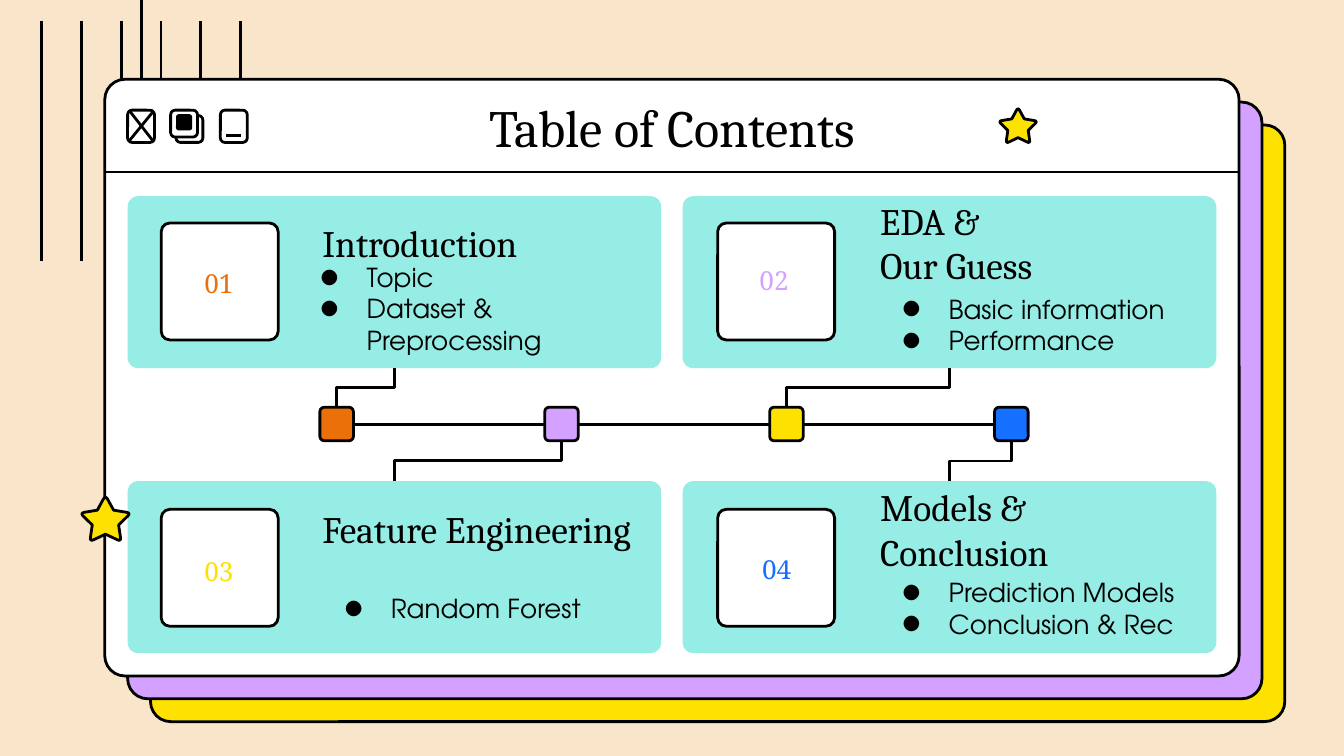
"""Build the table of contents slide with its stacked windows and timeline."""
from dataclasses import dataclass
from math import cos, pi, sin

from lxml.etree import SubElement
from pptx import Presentation
from pptx.dml.color import RGBColor
from pptx.enum.shapes import MSO_CONNECTOR as Link, MSO_SHAPE as Preset
from pptx.enum.text import MSO_ANCHOR as Anchor, PP_ALIGN as Align
from pptx.oxml.ns import qn
from pptx.util import Inches, Pt

BLACK = RGBColor(0x00, 0x00, 0x00)
WHITE = RGBColor(0xFF, 0xFF, 0xFF)
CREAM = RGBColor(0xF9, 0xE5, 0xC9)
YELLOW = RGBColor(0xFD, 0xE2, 0x00)
LILAC = RGBColor(0xD3, 0xA1, 0xFF)
AQUA = RGBColor(0x96, 0xED, 0xE5)
ORANGE = RGBColor(0xEC, 0x70, 0x0A)
BLUE = RGBColor(0x16, 0x70, 0xFF)
HEADING_FONT, NUMBER_FONT, TOPIC_FONT = "Cambria", "Noto Serif", "TeX Gyre Adventor"
STROKE = Pt(1.5)

Box = tuple[float, float, float, float]


@dataclass
class Section:
    number: str
    color: RGBColor
    column: int
    row: int
    heading: list[str]
    topics: list[str]
    number_box: Box
    heading_width: float
    topics_box: Box


@dataclass
class Milestone:
    color: RGBColor
    card_column: int
    upward: bool


SECTIONS = [
    Section("01", ORANGE, 0, 0, ["Introduction"], ["Topic", "Dataset & Preprocessing"],
            (1.38, 1.94, 0.5, 0.3), 2.41, (2.13, 2.04, 2.95, 0.51)),
    Section("02", LILAC, 1, 0, ["EDA &", "Our Guess"], ["Basic information", "Performance"],
            (5.48, 1.92, 0.56, 0.3), 2.21, (6.46, 2.16, 2.41, 0.51)),
    Section("03", YELLOW, 0, 1, ["Feature Engineering"], ["Random Forest"],
            (1.36, 4.08, 0.54, 0.37), 2.83, (2.31, 4.27, 2.62, 0.51)),
    Section("04", BLUE, 1, 1, ["Models & Conclusion"], ["Prediction Models", "Conclusion & Rec"],
            (5.48, 4.07, 0.6, 0.4), 2.41, (6.46, 4.27, 2.41, 0.51)),
]
MILESTONES = [Milestone(ORANGE, 0, True), Milestone(LILAC, 0, False),
              Milestone(YELLOW, 1, True), Milestone(BLUE, 1, False)]
CARD_LEFTS, CARD_TOPS = (0.95, 5.08), (1.46, 3.58)
TILE_LEFTS, TILE_TOPS = (1.2, 5.34), (1.66, 3.79)
HEADING_LEFTS, HEADING_TOPS = (2.3, 6.45), (1.64, 3.77)
CARD_WIDTH, CARD_HEIGHT = 3.97, 1.28
NODE_LEFT, NODE_RIGHTMOST, NODE_TOP, NODE_SIZE = 2.38, 7.4, 3.03, 0.25
NODE_STEP = (NODE_RIGHTMOST - NODE_LEFT) / (len(MILESTONES) - 1)

deck = Presentation()
deck.slide_width = Inches(10)
deck.slide_height = deck.slide_width * 9 // 16
slide = deck.slides.add_slide(deck.slide_layouts[6])
slide.background.fill.solid()
slide.background.fill.fore_color.rgb = CREAM


def paint(shape, fill: RGBColor, outlined: bool = True) -> None:
    shape.shadow.inherit = False
    shape.fill.solid()
    shape.fill.fore_color.rgb = fill
    if outlined:
        shape.line.color.rgb = BLACK
        shape.line.width = STROKE
    else:
        shape.line.fill.background()


def add_panel(box: Box, corner: float, fill: RGBColor, outlined: bool = True) -> None:
    panel = slide.shapes.add_shape(Preset.ROUNDED_RECTANGLE, *map(Inches, box))
    panel.adjustments[0] = corner
    paint(panel, fill, outlined)


def add_line(x1: float, y1: float, x2: float, y2: float, kind=Link.STRAIGHT):
    line = slide.shapes.add_connector(kind, *map(Inches, (x1, y1, x2, y2)))
    line.line.color.rgb = BLACK
    line.line.width = STROKE
    SubElement(line._element.spPr, qn("a:effectLst"))
    return line


def add_vertical_elbow(x1: float, y1: float, x2: float, y2: float) -> None:
    rise, run = abs(y2 - y1), abs(x2 - x1)
    left, top = (x1 + x2 - rise) / 2, (y1 + y2 - run) / 2
    elbow = add_line(left, top, left + rise, top + run, Link.ELBOW)
    turn = 270 if y2 < y1 else 90
    elbow._element.spPr.find(qn("a:xfrm")).set("rot", str(turn * 60000))


def add_bullet(paragraph, color: RGBColor, font: str) -> None:
    props = paragraph._p.get_or_add_pPr()
    props.set("marL", str(Inches(0.5)))
    props.set("indent", str(Inches(-0.35)))
    tint = SubElement(props, qn("a:buClr"))
    SubElement(tint, qn("a:srgbClr")).set("val", str(color))
    SubElement(props, qn("a:buFont")).set("typeface", font)
    SubElement(props, qn("a:buChar")).set("char", "●")


def add_text(box: Box, lines: list[str], font: str, size: float, color: RGBColor = BLACK,
             align=Align.LEFT, anchor=Anchor.MIDDLE, inset: float = 0.1,
             bulleted: bool = False) -> None:
    frame = slide.shapes.add_textbox(*map(Inches, box)).text_frame
    frame.word_wrap = True
    frame.vertical_anchor = anchor
    frame.margin_left = frame.margin_right = Inches(0.1)
    frame.margin_top = frame.margin_bottom = Inches(inset)
    frame.text = "\n".join(lines)
    for paragraph in frame.paragraphs:
        paragraph.alignment = align
        if bulleted:
            add_bullet(paragraph, color, font)
        paragraph.font.name = font
        paragraph.font.size = Pt(size)
        paragraph.font.color.rgb = color


def add_star(left: float, top: float, width: float, height: float) -> None:
    corners = [(r * sin(i * pi / 5), -r * cos(i * pi / 5))
               for i, r in enumerate((1, 0.52) * 5)]
    outline = []
    for i in range(0, 10, 2):
        tip = corners[i]
        before, after = ([t + 0.25 * (c - t) for t, c in zip(tip, corners[j])]
                         for j in (i - 1, i + 1))
        for t in (0, 0.25, 0.5, 0.75, 1):
            outline.append(tuple((1 - t) ** 2 * b + 2 * t * (1 - t) * p + t * t * a
                                 for b, p, a in zip(before, tip, after)))
        outline.append(corners[i + 1])
    xs, ys = zip(*outline)
    points = [(Inches(left + width * (x - min(xs)) / (max(xs) - min(xs))),
               Inches(top + height * (y - min(ys)) / (max(ys) - min(ys))))
              for x, y in outline]
    builder = slide.shapes.build_freeform(*points[0])
    builder.add_line_segments(points[1:])
    paint(builder.convert_to_shape(), YELLOW)


for i in range(6):
    x = 0.31 + (1.79 - 0.31) / 5 * i
    add_line(x, 0.16, x, 1.94)
add_line(1.05, 0, 1.05, 1.22)

for depth, color in ((2, YELLOW), (1, LILAC), (0, WHITE)):
    shift = 0.17 * depth
    add_panel((0.78 + shift, 0.59 + shift, 8.44, 4.44), 0.034, color)
add_line(0.78, 1.28, 9.22, 1.28)
add_text((0.78, 0.68, 8.44, 0.52), ["Table of Contents"], HEADING_FONT, 28, align=Align.CENTER)

for section in SECTIONS:
    column, row = section.column, section.row
    add_panel((CARD_LEFTS[column], CARD_TOPS[row], CARD_WIDTH, CARD_HEIGHT), 0.062, AQUA,
              outlined=False)
    add_panel((TILE_LEFTS[column], TILE_TOPS[row], 0.87, 0.87), 0.074, WHITE)
    add_text(section.number_box, [section.number], NUMBER_FONT, 14, section.color,
             Align.CENTER, Anchor.TOP, 0.05)
    add_text((HEADING_LEFTS[column], HEADING_TOPS[row], section.heading_width, 0.33),
             section.heading, HEADING_FONT, 20)
    add_text(section.topics_box, section.topics, TOPIC_FONT, 14, bulleted=True)

add_line(NODE_LEFT + NODE_SIZE, 3.16, NODE_RIGHTMOST, 3.16)
for i, milestone in enumerate(MILESTONES):
    left = NODE_LEFT + NODE_STEP * i
    card_center = CARD_LEFTS[milestone.card_column] + CARD_WIDTH / 2
    start, end = ((NODE_TOP, CARD_TOPS[0] + CARD_HEIGHT) if milestone.upward
                  else (NODE_TOP + NODE_SIZE, CARD_TOPS[1]))
    add_vertical_elbow(left + NODE_SIZE / 2, start, card_center, end)
    add_panel((left, NODE_TOP, NODE_SIZE, NODE_SIZE), 0.131, milestone.color)

for button in ((0.95, 0.82, 0.2, 0.24), (1.31, 0.86, 0.2, 0.2),
               (1.27, 0.82, 0.2, 0.2), (1.64, 0.82, 0.2, 0.24)):
    add_panel(button, 0.167, WHITE)
add_panel((1.31, 0.85, 0.12, 0.12), 0.167, BLACK, outlined=False)
for mark in ((0.96, 1.05, 1.14, 0.83), (0.96, 0.82, 1.14, 1.05), (1.68, 1.01, 1.79, 1.01)):
    add_line(*mark)

add_star(0.61, 3.7, 0.35, 0.32)
add_star(7.44, 0.81, 0.27, 0.25)

deck.save("out.pptx")
